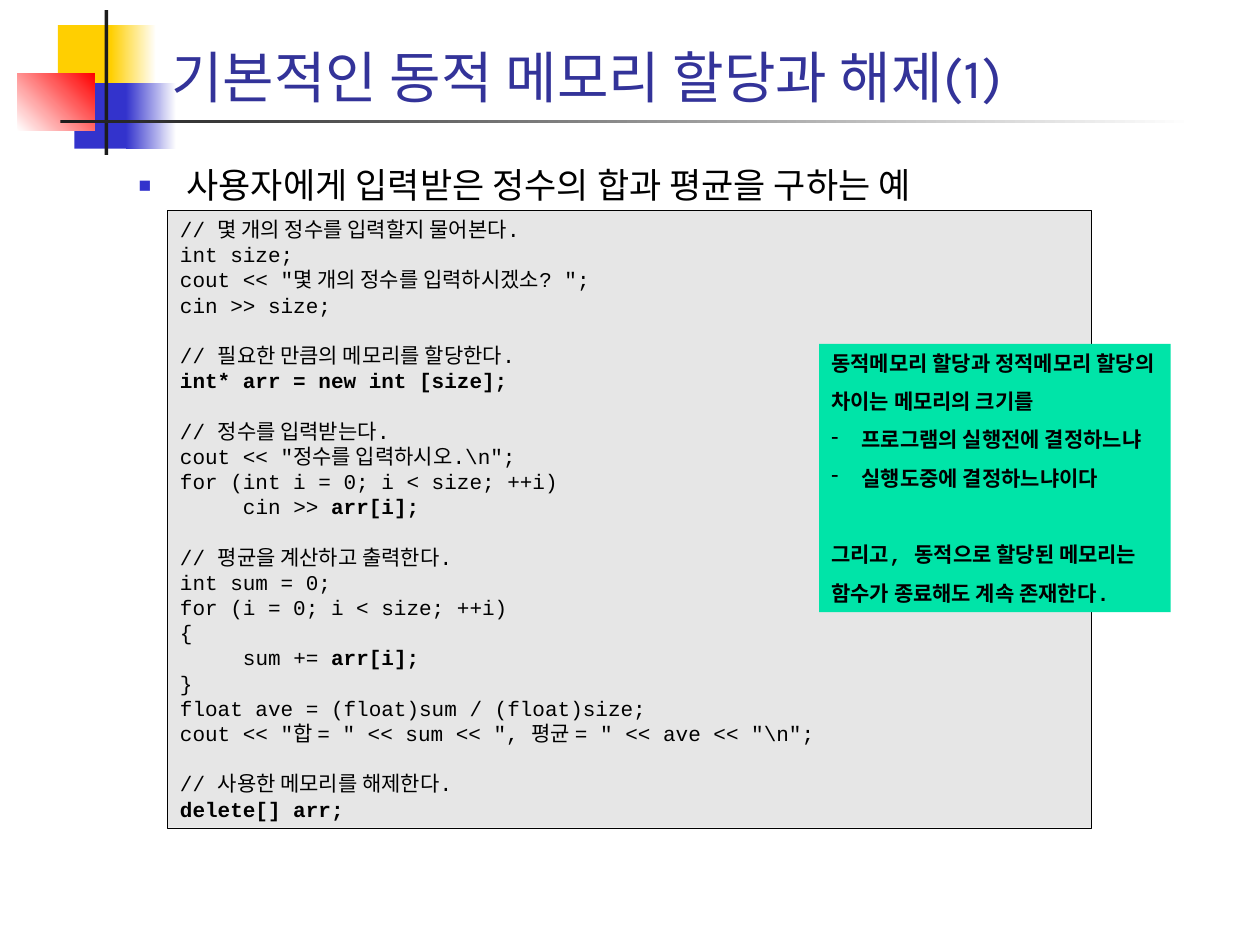
"""Build a slide on basic dynamic memory allocation in C++."""
from dataclasses import dataclass
from typing import Optional

from lxml import etree
from pptx import Presentation
from pptx import util as u
from pptx.dml.color import RGBColor
from pptx.enum import shapes, text
from pptx.oxml import ns

YELLOW = RGBColor(0xFF, 0xCF, 0x01)
BLUE = RGBColor(0x33, 0x33, 0xCC)
NAVY = RGBColor(0x33, 0x33, 0x99)
RED = RGBColor(0xFF, 0x00, 0x00)
INK = RGBColor(0x1C, 0x1C, 0x1C)
BLACK = RGBColor(0x00, 0x00, 0x00)
WHITE = RGBColor(0xFF, 0xFF, 0xFF)
GREY = RGBColor(0xE6, 0xE6, 0xE6)
GREEN = RGBColor(0x00, 0xE4, 0xA8)

MONO = "Courier New"
HANGUL = "Noto Sans CJK KR"
LEAD = 14.4

CODE = r'''// 몇 개의 정수를 입력할지 물어본다.
int size;
cout << "몇 개의 정수를 입력하시겠소? ";
cin >> size;

// 필요한 만큼의 메모리를 할당한다.
|int* arr = new int [size];

// 정수를 입력받는다.
cout << "정수를 입력하시오.\n";
for (int i = 0; i < size; ++i)
	cin >> |arr[i];

// 평균을 계산하고 출력한다.
int sum = 0;
for (i = 0; i < size; ++i)
{
	sum += |arr[i];
}
float ave = (float)sum / (float)size;
cout << "합 = " << sum << ", 평균 = " << ave << "\n";

// 사용한 메모리를 해제한다.
|delete[] arr;'''

NOTE = '''|동적메모리 할당과 정적메모리 할당의
|차이는 메모리의 크기를
-|프로그램의 실행전에 결정하느냐
-|실행도중에 결정하느냐이다

|그리고, 동적으로 할당된 메모리는
|함수가 종료해도 계속 존재한다.'''


@dataclass
class Box:
    left: float
    top: float
    width: float
    height: float
    fill: Optional[RGBColor] = None
    end: Optional[RGBColor] = None
    angle: float = 0


DECOR = [
    Box(0.46, 0.2, 0.48, 0.52, YELLOW),
    Box(0.88, 0.2, 0.36, 0.52, YELLOW, WHITE),
    Box(0.59, 0.66, 0.46, 0.52, BLUE),
    Box(1, 0.66, 0.4, 0.52, BLUE, WHITE),
    Box(0.14, 0.58, 0.61, 0.46, WHITE, RED, 45),
    Box(0.83, 0.08, 0.03, 1.15, INK),
    Box(0.48, 0.95, 9, 0.03, INK, WHITE),
]


def place(shape, box: Box) -> None:
    """Move a shape to its box."""
    shape.left, shape.top = u.Inches(box.left), u.Inches(box.top)
    shape.width, shape.height = u.Inches(box.width), u.Inches(box.height)


def draw(slide, box: Box):
    """Draw a plain or gradient rectangle."""
    shape = slide.shapes.add_shape(shapes.MSO_SHAPE.RECTANGLE, 0, 0, 0, 0)
    place(shape, box)
    shape.shadow.inherit = False
    shape.line.fill.background()
    if box.end is None:
        shape.fill.solid()
        shape.fill.fore_color.rgb = box.fill
    else:
        shape.fill.gradient()
        shape.fill.gradient_angle = box.angle
        for stop, tint in zip(shape.fill.gradient_stops, (box.fill, box.end)):
            stop.color.rgb = tint
    return shape


def style(run, size: float, face: str, tint: RGBColor, bold: bool = False) -> None:
    """Format one run, with a Hangul face for Korean."""
    font = run.font
    font.size, font.name, font.bold = u.Pt(size), face, bold
    font.color.rgb = tint
    etree.SubElement(font._element, ns.qn("a:ea"), typeface=HANGUL)


def bullet(para, mark: str, tint: RGBColor, indent: float, scale: int = 100) -> None:
    """Give a paragraph a hanging bullet."""
    props = para._p.get_or_add_pPr()
    props.set("marL", str(u.Inches(indent)))
    props.set("indent", str(-u.Inches(indent)))
    color = etree.SubElement(props, ns.qn("a:buClr"))
    etree.SubElement(color, ns.qn("a:srgbClr"), val=str(tint))
    etree.SubElement(props, ns.qn("a:buSzPct"), val=str(scale * 1000))
    etree.SubElement(props, ns.qn("a:buChar"), char=mark)


def write(shape, source: str, before: float = 0) -> None:
    """Write lines; text after a bar is bold, an empty line is a gap."""
    frame = shape.text_frame
    frame.vertical_anchor = text.MSO_ANCHOR.TOP
    frame.auto_size = text.MSO_AUTO_SIZE.NONE
    frame.word_wrap = False
    para, gap = frame.paragraphs[0], before
    for count, line in enumerate(source.split("\n")):
        if not line:
            gap += LEAD + before
            continue
        if count:
            para = frame.add_paragraph()
        para.alignment = text.PP_ALIGN.LEFT
        para.line_spacing, para.space_before = u.Pt(LEAD), u.Pt(gap)
        gap = before
        if line.startswith("-|"):
            bullet(para, "-", BLACK, 0.24)
            line = line[1:]
        plain, _, strong = line.partition("|")
        for part, bold in ((plain, False), (strong, True)):
            if part:
                run = para.add_run()
                run.text = part
                style(run, 12, MONO, BLACK, bold)


def head(shape, box: Box, words: str, size: float, face: str, tint: RGBColor):
    """Fill a placeholder with one line and return its paragraph."""
    place(shape, box)
    frame = shape.text_frame
    frame.text = words
    frame.auto_size = text.MSO_AUTO_SIZE.NONE
    para = frame.paragraphs[0]
    para.alignment = text.PP_ALIGN.LEFT
    style(para.runs[0], size, face, tint)
    return para


def main() -> None:
    """Build and save the slide."""
    deck = Presentation()
    deck.slide_width, deck.slide_height = u.Inches(10), u.Inches(7.5)
    slide = deck.slides.add_slide(deck.slide_layouts[1])
    title, body = slide.placeholders
    for box in DECOR:
        draw(slide, box)
    for shape in (title, body):
        slide.shapes._spTree.append(shape._element)

    head(title, Box(1.26, 0.17, 8.52, 0.75),
         "기본적인 동적 메모리 할당과 해제(1)", 32, "Karla", NAVY)
    title.text_frame.vertical_anchor = text.MSO_ANCHOR.BOTTOM
    para = head(body, Box(1, 1.25, 8.5, 5.58),
                "사용자에게 입력받은 정수의 합과 평균을 구하는 예", 20, HANGUL, BLACK)
    para.space_before = u.Pt(5)
    bullet(para, "■", BLUE, 0.38, 60)

    code = draw(slide, Box(1.33, 1.67, 7.33, 4.9, GREY))
    code.line.color.rgb = BLACK
    code.line.width = u.Pt(0.25)
    write(code, CODE)
    write(draw(slide, Box(6.5, 2.73, 2.79, 2.13, GREEN)), NOTE, 7.5)
    deck.save("out.pptx")


if __name__ == "__main__":
    main()
